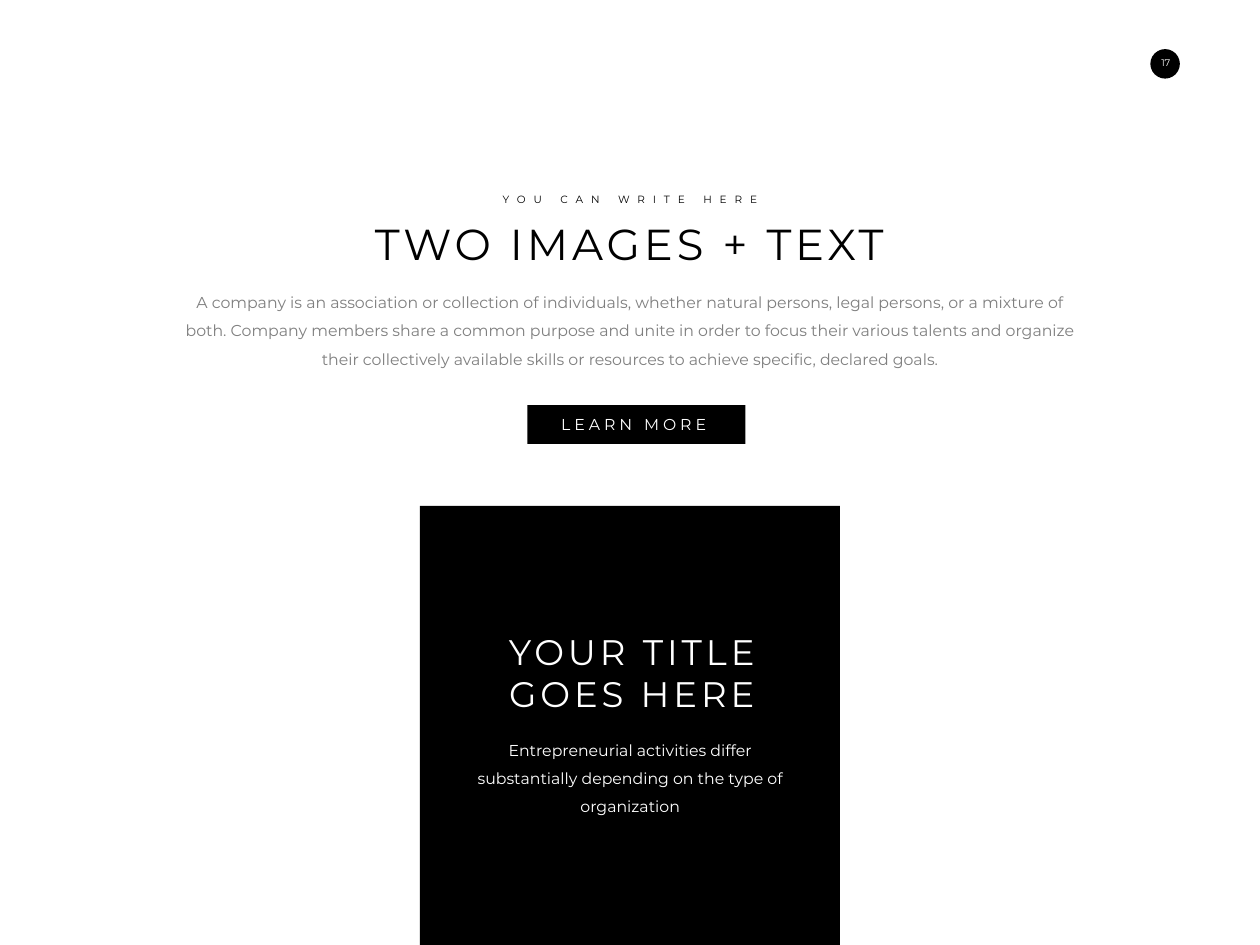
"""Build the "Two images + text" slide with its call to action and black panel."""
from dataclasses import dataclass
from typing import Any

from lxml import etree
from pptx import Presentation
from pptx import util as u
from pptx.dml.color import RGBColor
from pptx.enum import shapes, text
from pptx.oxml import ns

FONT = "Montserrat"
BLACK, WHITE, GREY = "000000", "FFFFFF", "7F7F7F"
TITLE, BODY = 0, 1


@dataclass(frozen=True)
class Area:
    left: float
    top: float
    width: float
    height: float

    def lengths(self) -> tuple[u.Length, ...]:
        return tuple(u.Cm(n) for n in (self.left, self.top, self.width, self.height))


@dataclass(frozen=True)
class Block:
    area: Area
    kind: shapes.MSO_SHAPE


@dataclass(frozen=True)
class Caption:
    area: Area
    lines: tuple[str, ...]
    size: float
    color: str
    tracking: float = 0
    line_spacing: float = 1
    wrap: bool = False
    placeholder: int | None = None


BLOCKS = (
    Block(Area(46.38, 1.98, 1.19, 1.19), shapes.MSO_SHAPE.OVAL),
    Block(Area(16.93, 20.4, 16.93, 17.7), shapes.MSO_SHAPE.RECTANGLE),
    Block(Area(21.26, 16.33, 8.79, 1.57), shapes.MSO_SHAPE.RECTANGLE),
)

CAPTIONS = (
    Caption(Area(14.78, 8.61, 21.21, 2.36), ("TWO IMAGES + TEXT",), 49.5, BLACK,
            tracking=4.5, placeholder=TITLE),
    Caption(Area(6.81, 11.3, 37.19, 3.71),
            ("A company is an association or collection of individuals, whether natural "
             "persons, legal persons, or a mixture of both. Company members share a common "
             "purpose and unite in order to focus their various talents and organize their "
             "collectively available skills or resources to achieve specific, declared goals.",),
            18, GREY, line_spacing=1.5, wrap=True, placeholder=BODY),
    Caption(Area(46.39, 2.16, 1.23, 0.7), ("17",), 11, WHITE),
    Caption(Area(19.84, 7.65, 11.13, 0.76), ("YOU CAN WRITE HERE",), 12, BLACK, tracking=9),
    Caption(Area(22.02, 16.59, 7.06, 1.02), ("LEARN MORE",), 18, WHITE,
            tracking=4.5, wrap=True),
    Caption(Area(20.19, 25.27, 10.57, 3.71), ("YOUR TITLE", "GOES HERE"), 40.5, WHITE,
            tracking=4.5),
    Caption(Area(18.64, 29.34, 13.54, 3.71),
            ("Entrepreneurial activities differ substantially depending on the type of "
             "organization",), 18, WHITE, line_spacing=1.5, wrap=True),
)


def paint(target: Any, color: str) -> None:
    target.solid()
    target.fore_color.rgb = RGBColor.from_string(color)


def draw_block(page: Any, block: Block) -> None:
    shape = page.shapes.add_shape(block.kind, *block.area.lengths())
    shape.shadow.inherit = False
    paint(shape.fill, BLACK)
    shape.line.fill.background()


def remove_bullet(para: Any) -> None:
    properties = para._p.get_or_add_pPr()
    properties.set("marL", "0")
    properties.set("indent", "0")
    etree.SubElement(properties, ns.qn("a:buNone"))


def caption_box(page: Any, caption: Caption) -> Any:
    if caption.placeholder is None:
        return page.shapes.add_textbox(*caption.area.lengths())
    box = page.placeholders[caption.placeholder]
    box.left, box.top, box.width, box.height = caption.area.lengths()
    return box


def draw_caption(page: Any, caption: Caption) -> None:
    frame = caption_box(page, caption).text_frame
    frame.word_wrap = caption.wrap
    frame.auto_size = text.MSO_AUTO_SIZE.SHAPE_TO_FIT_TEXT
    frame.vertical_anchor = text.MSO_ANCHOR.TOP
    for number, line in enumerate(caption.lines):
        para = frame.add_paragraph() if number else frame.paragraphs[0]
        if caption.placeholder == BODY:
            remove_bullet(para)
        para.alignment = text.PP_ALIGN.CENTER
        para.line_spacing = caption.line_spacing
        para.space_before = u.Pt(0)
        span = para.add_run()
        span.text = line
        span.font.name = FONT
        span.font.size = u.Pt(caption.size)
        paint(span.font.fill, caption.color)
        if caption.tracking:
            span._r.get_or_add_rPr().set("spc", str(round(caption.tracking * 100)))


def main() -> None:
    deck = Presentation()
    deck.slide_width, deck.slide_height = u.Cm(50.8), u.Cm(38.1)
    page = deck.slides.add_slide(deck.slide_layouts[1])
    paint(page.background.fill, WHITE)
    for block in BLOCKS:
        draw_block(page, block)
    for caption in CAPTIONS:
        draw_caption(page, caption)
    deck.save("out.pptx")


if __name__ == "__main__":
    main()
